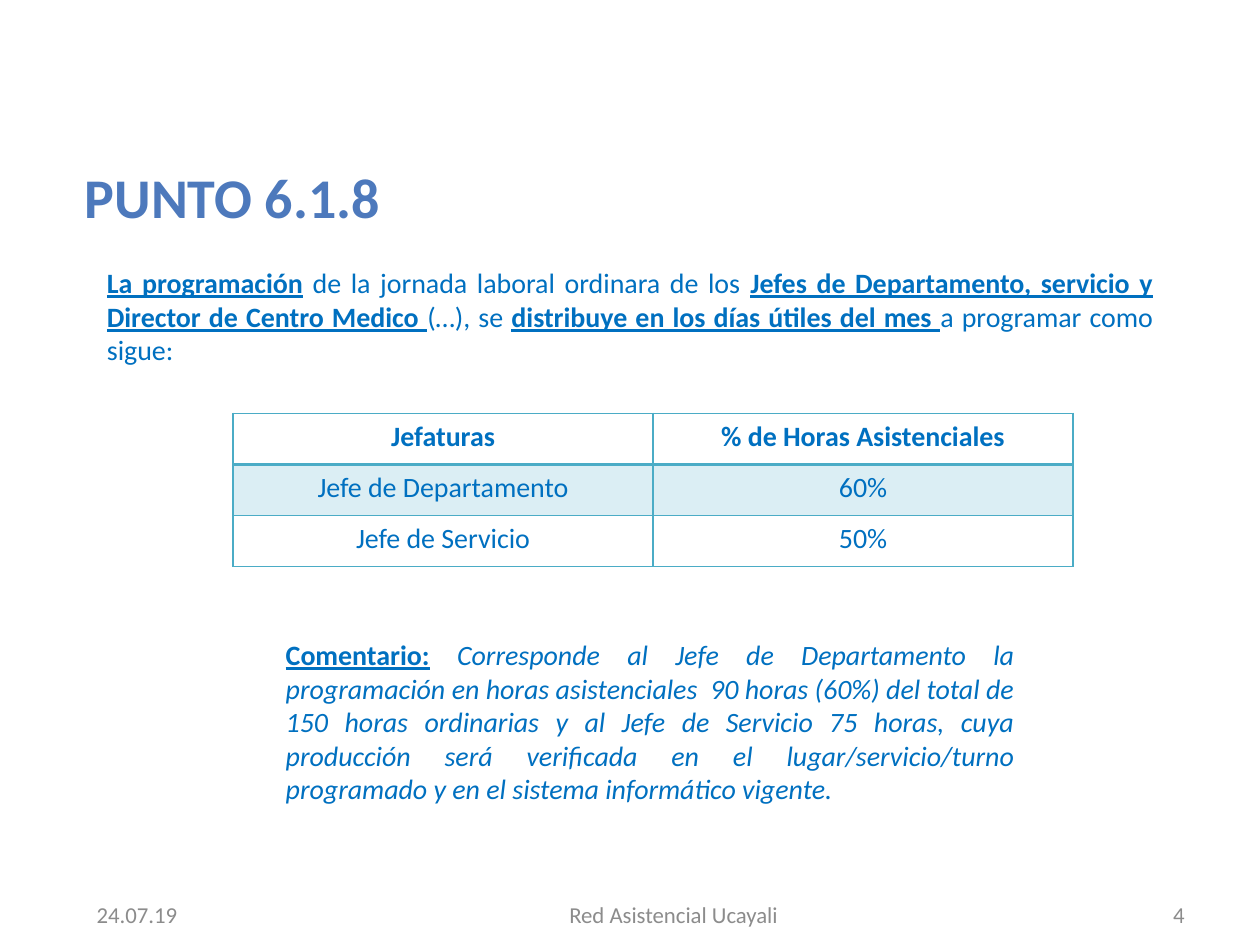
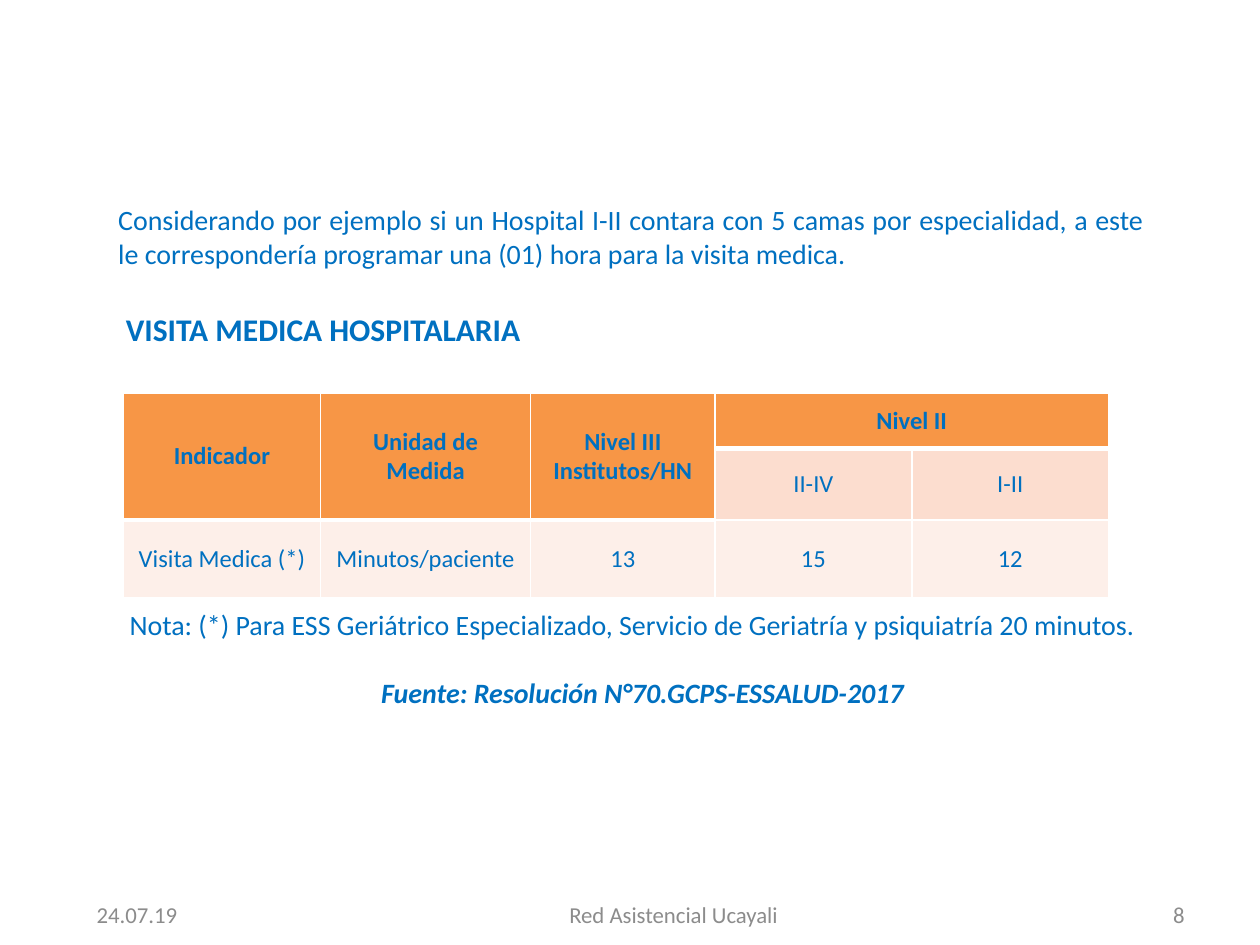
import pptx
import pptx.dml.color
import pptx.enum.text
import pptx.oxml.ns
import pptx.util
from lxml import etree

Pt = pptx.util.Pt
ALIGN = pptx.enum.text.PP_ALIGN
ANCHOR = pptx.enum.text.MSO_ANCHOR
qn = pptx.oxml.ns.qn

FONT = "Calibri"
TEXT_BLUE = "0070C0"
TITLE_BLUE = "4D79BC"
FOOTER_GREY = "8C8C8C"
TEAL = "4BACC6"
PALE_TEAL = "DBEEF4"
ORANGE = "F79646"
PEACH = "FCDDCF"
PALE_PEACH = "FDEFE9"
WHITE = "FFFFFF"

BOLD = {"bold": True}
KEY = {"bold": True, "underline": True}
ITALIC = {"italic": True}


def rgb(hex_colour):
    return pptx.dml.color.RGBColor.from_string(hex_colour)


def apply(target, values):
    """Set each named attribute of the target."""
    for name, value in values.items():
        setattr(target, name, value)


def write(frame, runs, size=16, colour=TEXT_BLUE, align=ALIGN.JUSTIFY):
    """Fill a text frame with one paragraph of (wording, format) runs."""
    paragraph = frame.paragraphs[0]
    paragraph.alignment = align
    for wording, style in runs:
        run = paragraph.add_run()
        run.text = wording
        apply(run.font, {"name": FONT, "size": Pt(size), "bold": False, **style})
        run.font.color.rgb = rgb(colour)


def place(shape, box):
    for name, value in zip(("left", "top", "width", "height"), box):
        setattr(shape, name, Pt(value))


def add_text(slide, box, runs, frame_format=None, **style):
    frame = slide.shapes.add_textbox(*map(Pt, box)).text_frame
    apply(frame, {"word_wrap": True, **(frame_format or {})})
    write(frame, runs, **style)


def add_title(slide, box, wording, size, colour):
    title = slide.shapes.title
    place(title, box)
    apply(title.text_frame, {
        "word_wrap": True,
        "vertical_anchor": ANCHOR.TOP,
        "auto_size": pptx.enum.text.MSO_AUTO_SIZE.NONE,
    })
    write(title.text_frame, [(wording, BOLD)], size, colour, ALIGN.CENTER)


def add_footer(slide, number):
    frame_format = {"margin_top": 0, "margin_bottom": 0,
                    "vertical_anchor": ANCHOR.MIDDLE}
    parts = [
        ((48.2, 514.8, 67.7, 15.8), "24.07.19", ALIGN.LEFT),
        ((126.7, 514.8, 516.2, 15.8), "Red Asistencial Ucayali", ALIGN.CENTER),
        ((649.4, 506.9, 34.6, 31.7), str(number), ALIGN.RIGHT),
    ]
    for box, wording, align in parts:
        add_text(slide, box, [(wording, {})], frame_format,
                 size=13, colour=FOOTER_GREY, align=align)


def set_borders(cell, colour, top, bottom):
    """Draw the four cell edges; the side edges are 1 pt wide."""
    properties = cell._tc.get_or_add_tcPr()
    for tag, width in (("lnL", 1), ("lnR", 1), ("lnT", top), ("lnB", bottom)):
        line = etree.SubElement(properties, qn(f"a:{tag}"), w=str(Pt(width)))
        fill = etree.SubElement(line, qn("a:solidFill"))
        etree.SubElement(fill, qn("a:srgbClr"), val=colour)


def add_grid(slide, origin, widths, heights, rows, header_depths, fills,
             border, heavy, size, anchor, merges=()):
    """Add a table whose header cells reach header_depths[column] rows down.

    fills holds the header colour, then one colour per row; None is no fill.
    """
    table = slide.shapes.add_table(
        len(rows), len(widths), *map(Pt, (*origin, sum(widths), sum(heights)))
    ).table
    apply(table, {"first_row": False, "horz_banding": False})
    for column, width in zip(table.columns, widths):
        column.width = Pt(width)
    for row, height in zip(table.rows, heights):
        row.height = Pt(height)
    for first, last in merges:
        table.cell(*first).merge(table.cell(*last))

    header_fill, *row_fills = fills
    for r, row in enumerate(rows):
        for c, wording in enumerate(row):
            cell = table.cell(r, c)
            is_header = r < header_depths[c]
            set_borders(cell, border,
                        top=heavy if r == header_depths[c] else 1,
                        bottom=heavy if is_header else 1)
            fill = header_fill if is_header else row_fills[r]
            if fill:
                cell.fill.solid()
                cell.fill.fore_color.rgb = rgb(fill)
            else:
                cell.fill.background()
            cell.vertical_anchor = anchor
            if wording:
                write(cell.text_frame, [(wording, {"bold": is_header})],
                      size, align=ALIGN.CENTER)


def build_hours_slide(slide):
    add_footer(slide, 4)
    add_text(slide, (54, 148.3, 612, 65.5), [
        ("La programación", KEY),
        (" de la jornada laboral ordinara de los ", {}),
        ("Jefes de Departamento, servicio y Director de Centro Medico ", KEY),
        ("(…), se ", {}),
        ("distribuye en los días útiles del mes ", KEY),
        ("a programar como sigue: ", {}),
    ])
    add_title(slide, (40.3, 89.3, 185, 46), "PUNTO 6.1.8", 32, TITLE_BLUE)
    add_grid(
        slide, (133.2, 236.2), [240] * 2, [29.2] * 3,
        [
            ["Jefaturas", "% de Horas Asistenciales"],
            ["Jefe de Departamento", "60%"],
            ["Jefe de Servicio", "50%"],
        ],
        header_depths=[1, 1], fills=[None, None, PALE_TEAL, None],
        border=TEAL, heavy=2, size=16, anchor=ANCHOR.TOP,
    )
    add_text(slide, (156.2, 360.7, 430.6, 104.4), [
        ("Comentario:", KEY),
        (" ", BOLD),
        ("Corresponde al Jefe de Departamento la programación en horas "
         "asistenciales  90 horas (60%) del total de 150 horas ordinarias y al "
         "Jefe de Servicio 75 horas, cuya producción será verificada en el "
         "lugar/servicio/turno programado y en el sistema informático vigente.",
         ITALIC),
    ])


def build_visit_slide(slide):
    add_footer(slide, 8)
    add_title(slide, (28.8, 173.5, 311.8, 28.8),
              "VISITA MEDICA HOSPITALARIA", 18, TEXT_BLUE)
    add_text(slide, (60.5, 112.3, 600.5, 46), [
        ("Considerando por ejemplo si un Hospital I-II contara con 5 camas por "
         "especialidad, a este le correspondería programar una (01) hora para "
         "la visita medica.", {}),
    ])
    add_grid(
        slide, (70.6, 224.6), [112.5, 120.2, 105.3, 112.5, 112.5],
        [31.7, 31.7, 44.6],
        [
            ["Indicador", "Unidad de Medida", "Nivel III Institutos/HN",
             "Nivel II", ""],
            ["", "", "", "II-IV", "I-II"],
            ["Visita Medica (*)", "Minutos/paciente", "13", "15", "12"],
        ],
        header_depths=[2, 2, 2, 1, 1],
        fills=[ORANGE, None, PEACH, PALE_PEACH],
        border=WHITE, heavy=3, size=14, anchor=ANCHOR.MIDDLE,
        merges=[((0, c), (1, c)) for c in range(3)] + [((0, 3), (0, 4))],
    )
    add_text(slide, (67, 343.4, 600.5, 26.6), [
        ("Nota: (*) Para ESS Geriátrico Especializado, Servicio de Geriatría y "
         "psiquiatría 20 minutos.", {}),
    ])
    add_text(slide, (67, 382.3, 600.5, 26.6),
             [("Fuente: Resolución N°70.GCPS-ESSALUD-2017", {**BOLD, **ITALIC})],
             align=ALIGN.CENTER)


def main():
    deck = pptx.Presentation()
    apply(deck, {"slide_width": Pt(720), "slide_height": Pt(540)})
    title_only = deck.slide_layouts[5]
    for build in (build_hours_slide, build_visit_slide):
        build(deck.slides.add_slide(title_only))
    deck.save("out.pptx")


if __name__ == "__main__":
    main()
